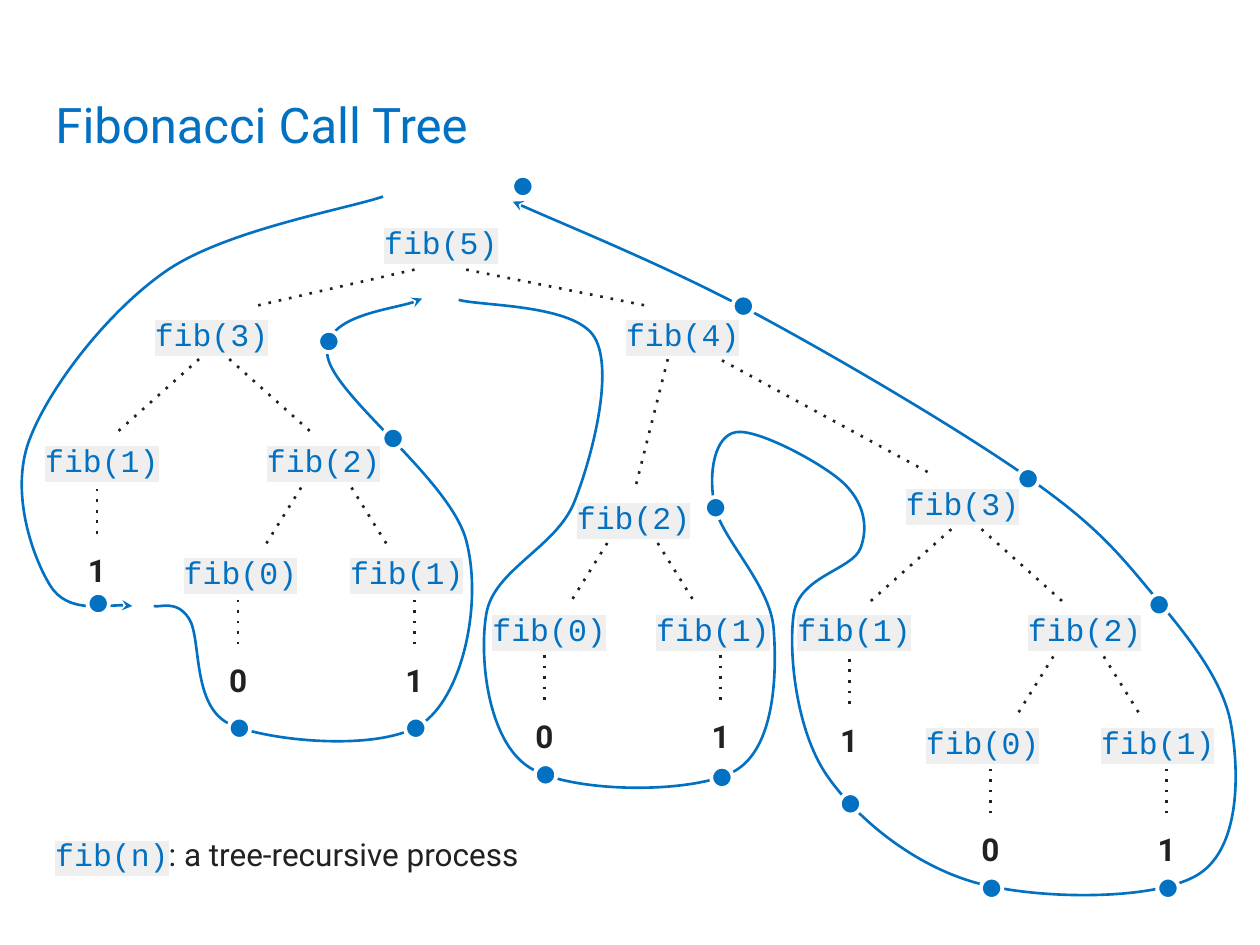
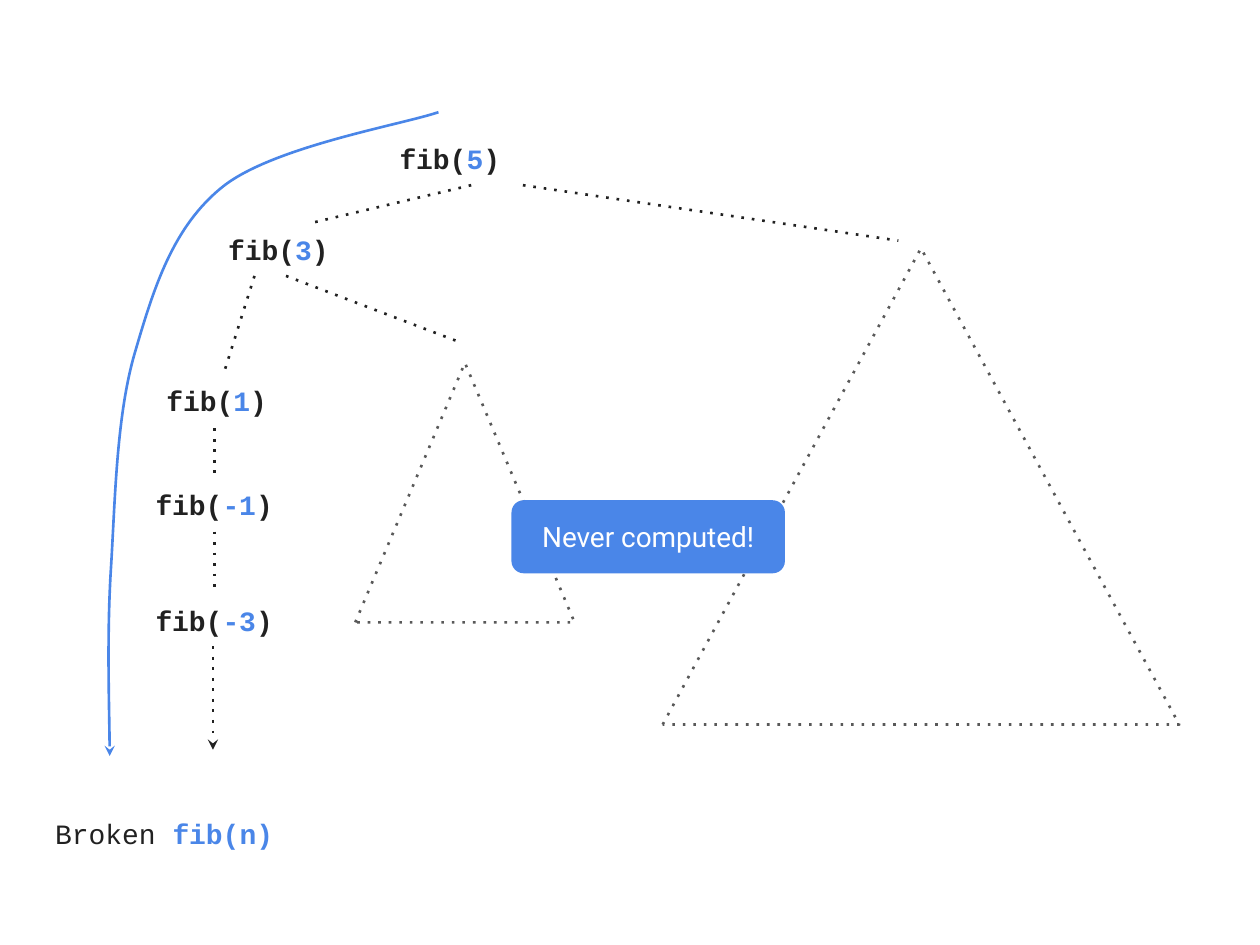
from lxml.etree import SubElement
from pptx import Presentation
from pptx.dml.color import RGBColor
from pptx.enum.shapes import MSO_CONNECTOR, MSO_SHAPE as SHAPE
from pptx.enum.text import MSO_ANCHOR as ANCHOR, PP_ALIGN as ALIGN
from pptx.oxml.ns import qn
from pptx.util import Inches, Pt

COLORS = {
    "blue": "0371C1", "light_blue": "4A86E8", "ink": "212121",
    "outline": "595959", "code_back": "EFEFEF", "white": "FFFFFF",
}
CODE, SANS = "Courier New", "Roboto"

# Text styles: font, color, bold, highlight
STYLES = {
    "title": (SANS, "blue", False, None),
    "call": (CODE, "blue", False, "code_back"),
    "value": (SANS, "ink", True, None),
    "caption": (SANS, "ink", False, None),
    "code": (CODE, "ink", False, None),
    "bold_code": (CODE, "ink", True, None),
    "argument": (CODE, "light_blue", True, None),
    "callout": (SANS, "white", False, None),
}

# Shared sizes, in inches
LABEL_HEIGHT, CALL_WIDTH, VALUE_WIDTH = 0.44, 1.11, 1
STEM, VALUE_GAP, DOT = 0.38, 0.04, 0.17


def write(shape, runs, size, align=ALIGN.LEFT, anchor=ANCHOR.MIDDLE):
    """Fill a shape with runs of (text, style name)."""
    frame = shape.text_frame
    frame.word_wrap = True
    frame.vertical_anchor = anchor
    frame.margin_left = frame.margin_right = Inches(0.1)
    frame.margin_top = frame.margin_bottom = Inches(0.1)
    paragraph = frame.paragraphs[0]
    paragraph.alignment = align
    for text, style in runs:
        font_name, color, bold, highlight = STYLES[style]
        run = paragraph.add_run()
        run.text = text
        run.font.size, run.font.name, run.font.bold = Pt(size), font_name, bold
        run.font.color.rgb = RGBColor.from_string(COLORS[color])
        if highlight:
            properties = run._r.get_or_add_rPr()
            mark = SubElement(properties, qn("a:highlight"))
            SubElement(mark, qn("a:srgbClr"), val=COLORS[highlight])
            properties.find(qn("a:solidFill")).addnext(mark)


def style_line(shape, color, width=1.5, dotted=False, arrow=False):
    """Color an outline, optionally dotted or with an arrowhead; no shadow."""
    shape.line.color.rgb = RGBColor.from_string(COLORS[color])
    shape.line.width = Pt(width)
    properties = shape.element.spPr
    line = properties.find(qn("a:ln"))
    if dotted:
        SubElement(line, qn("a:prstDash"), val="dot")
    if arrow:
        SubElement(line, qn("a:tailEnd"), type="stealth")
    SubElement(properties, qn("a:effectLst"))


presentation = Presentation()
presentation.slide_width, presentation.slide_height = Inches(10), Inches(7.5)
tree_slide = presentation.slides.add_slide(presentation.slide_layouts[5])
broken_slide = presentation.slides.add_slide(presentation.slide_layouts[6])

# Title
title = tree_slide.shapes.title
title.left, title.top = Inches(0.34), Inches(0.65)
title.width, title.height = Inches(9.32), Inches(0.83)
write(title, [("Fibonacci Call Tree", "title")], 28, anchor=ANCHOR.TOP)

# Evaluation routes, given by the points they pass through
route_into_first_leaf = [(3.04, 1.56), (1.32, 2.15), (0.23, 3.5), (0.4, 4.65), (1.05, 4.81)]
route_around_left_fib_2 = [
    (1.22, 4.81), (1.5, 4.91), (1.83, 5.75), (3.37, 5.73), (3.7, 4.29),
    (2.6, 2.83), (3.35, 2.37),
]
route_around_fib_4 = [
    (3.64, 2.38), (4.72, 2.68), (4.56, 3.98), (3.86, 4.87), (4.2, 6.09),
    (5.83, 6.12), (6.14, 4.99), (5.67, 4.01), (5.84, 3.43), (6.69, 3.83),
    (6.83, 4.35), (6.3, 4.87), (6.56, 6.15), (7.76, 7.01), (9.51, 6.94),
    (9.77, 5.75), (9.11, 4.67), (8.13, 3.77), (5.96, 2.47), (4.07, 1.6),
]
route_without_end = [(3.48, 0.89), (1.77, 1.48), (1.07, 2.8), (0.88, 4.52), (0.87, 6)]
routes = [
    (tree_slide, "blue", route_around_fib_4),
    (tree_slide, "blue", route_around_left_fib_2),
    (tree_slide, "blue", route_into_first_leaf),
    (broken_slide, "light_blue", route_without_end),
]
for slide, color, stops in routes:
    # Smooth (Catmull-Rom) curve: handles are a sixth of the way between neighbors
    padded = [stops[0], *stops, stops[-1]]
    bezier_points = []
    for before, start, end, after in zip(padded, padded[1:], padded[2:], padded[3:]):
        leaving = [s + (e - b) / 6 for b, s, e in zip(before, start, end)]
        arriving = [e - (a - s) / 6 for s, e, a in zip(start, end, after)]
        bezier_points += [leaving, arriving, end]
    builder = slide.shapes.build_freeform(*map(Inches, stops[0]))
    builder.add_line_segments([(Inches(x), Inches(y)) for x, y in bezier_points], close=False)
    route = builder.convert_to_shape()
    route.fill.background()
    style_line(route, color, arrow=True)
    # Merge each three straight segments into one Bezier curve
    segments = list(route.element.iter(qn("a:lnTo")))
    outline = segments[0].getparent()
    for index in range(0, len(segments), 3):
        curve = SubElement(outline, qn("a:cubicBezTo"))
        for segment in segments[index:index + 3]:
            curve.append(segment[0])
            outline.remove(segment)

# Branches of the call tree; the top two forks are uneven
tree_branches = [
    (3.29, 2.14, 2.02, 2.43), (3.7, 2.14, 5.15, 2.43),   # fib(5)
    (5.3, 2.85, 5.04, 3.88), (5.73, 2.86, 7.37, 3.75),   # fib(4)
]
# Every fib(3) and fib(2) forks evenly about a center; values hang below it
FORKS = {
    3: {"gap": 0.12, "spread": 0.77, "drop": 0.58,
        "leaf_drop": 1.03, "leaves": [("1", -0.93)]},
    2: {"gap": 0.2, "spread": 0.48, "drop": 0.45,
        "leaf_drop": 0.89, "leaves": [("0", -0.7), ("1", 0.7)]},
}
# Number, center, top, and the drop from each stem's top to its route dot
fork_places = [
    (3, 1.7, 2.85, [0.91]), (2, 2.59, 3.87, [1.02, 1.02]),
    (2, 5.02, 4.31, [0.95, 0.97]),
    (3, 7.67, 4.2, [1.15]), (2, 8.56, 5.21, [0.95, 0.95]),
]
leaves = []
dot_centers = [   # where calls return
    (3.12, 3.48), (2.61, 2.71), (5.68, 4.03), (9.2, 4.8),
    (8.16, 3.8), (5.9, 2.43), (4.15, 1.48),
]
for number, center, top, dot_drops in fork_places:
    fork = FORKS[number]
    for side in (-1, 1):
        tree_branches.append((center + side * fork["gap"], top,
                              center + side * fork["spread"], top + fork["drop"]))
    for (value, offset), dot_drop in zip(fork["leaves"], dot_drops):
        x, y = center + offset, top + fork["leaf_drop"]
        leaves.append((value, x, y))
        tree_branches.append((x, y, x, y + STEM))
        dot_centers.append((x + 0.01, y + dot_drop))

# Branches of the broken process, ending in an arrow that never stops
broken_branches = [
    (3.74, 1.47, 2.47, 1.77), (4.15, 1.47, 7.13, 1.91),   # fib(5)
    (2.02, 2.19, 1.78, 2.95), (2.27, 2.19, 3.66, 2.72),   # fib(3)
    (1.7, 3.4, 1.7, 3.78), (1.7, 4.22, 1.7, 4.7),         # fib(1), fib(-1)
]
endless_branch = (1.69, 5.13, 1.69, 5.95)
for slide, branches in (
    (tree_slide, tree_branches),
    (broken_slide, broken_branches + [endless_branch]),
):
    for ends in branches:
        branch = slide.shapes.add_connector(MSO_CONNECTOR.STRAIGHT, *map(Inches, ends))
        style_line(branch, "ink", dotted=True, arrow=ends is endless_branch)

# Captions at the foot of each slide
for slide, top, size, runs in (
    (tree_slide, 6.34, 18, [("fib(n)", "call"), (": a tree-recursive process", "caption")]),
    (broken_slide, 6.17, 16, [("Broken ", "code"), ("fib(n)", "argument")]),
):
    box = slide.shapes.add_textbox(*map(Inches, (0.34, top, 6.56, 0.88)))
    write(box, runs, size)

# Calls in the tree: top of a row, then (number, left) for each call in it
call_rows = [
    (1.7, [(5, 2.95)]),
    (2.43, [(3, 1.13), (4, 4.87)]),
    (3.43, [(1, 0.26), (2, 2.02)]),
    (3.77, [(3, 7.09)]),
    (3.88, [(2, 4.48)]),
    (4.32, [(0, 1.36), (1, 2.68)]),
    (4.77, [(0, 3.81), (1, 5.11), (1, 6.23), (2, 8.06)]),
    (5.67, [(0, 7.25), (1, 8.64)]),
]
for top, calls in call_rows:
    for number, left in calls:
        box = tree_slide.shapes.add_textbox(
            *map(Inches, (left, top, CALL_WIDTH, LABEL_HEIGHT)))
        write(box, [(f"fib({number})", "call")], 18)

# Values below the stems
for value, x, y in leaves:
    box = tree_slide.shapes.add_textbox(*map(Inches, (
        x - VALUE_WIDTH / 2, y + STEM + VALUE_GAP, VALUE_WIDTH, LABEL_HEIGHT)))
    write(box, [(value, "value")], 18, ALIGN.CENTER)

# Calls of the broken process: number, center, top
broken_calls = [(5, 3.57, 1.04), (3, 2.21, 1.76), (1, 1.72, 2.96), (-1, 1.7, 3.78), (-3, 1.7, 4.7)]
for number, center, top in broken_calls:
    width = 1.16
    box = broken_slide.shapes.add_textbox(
        *map(Inches, (center - width / 2, top, width, LABEL_HEIGHT)))
    runs = [("fib(", "bold_code"), (str(number), "argument"), (")", "bold_code")]
    write(box, runs, 16, ALIGN.CENTER)

# Dots along the routes
for x, y in dot_centers:
    dot = tree_slide.shapes.add_shape(
        SHAPE.OVAL, *map(Inches, (x - DOT / 2, y - DOT / 2, DOT, DOT)))
    dot.fill.solid()
    dot.fill.fore_color.rgb = RGBColor.from_string(COLORS["blue"])
    style_line(dot, "white", width=2.25)

# Subtrees that are never reached
for bounds in ((2.82, 2.88, 1.74, 2.06), (5.26, 1.97, 4.1, 3.78)):
    subtree = broken_slide.shapes.add_shape(SHAPE.ISOSCELES_TRIANGLE, *map(Inches, bounds))
    subtree.fill.background()
    style_line(subtree, "outline", dotted=True)

# Callout over both subtrees
callout = broken_slide.shapes.add_shape(
    SHAPE.ROUNDED_RECTANGLE, *map(Inches, (4.06, 3.97, 2.17, 0.58)))
callout.fill.solid()
callout.fill.fore_color.rgb = RGBColor.from_string(COLORS["light_blue"])
callout.line.fill.background()
callout.shadow.inherit = False
write(callout, [("Never computed!", "callout")], 16, ALIGN.CENTER)

presentation.save("out.pptx")
